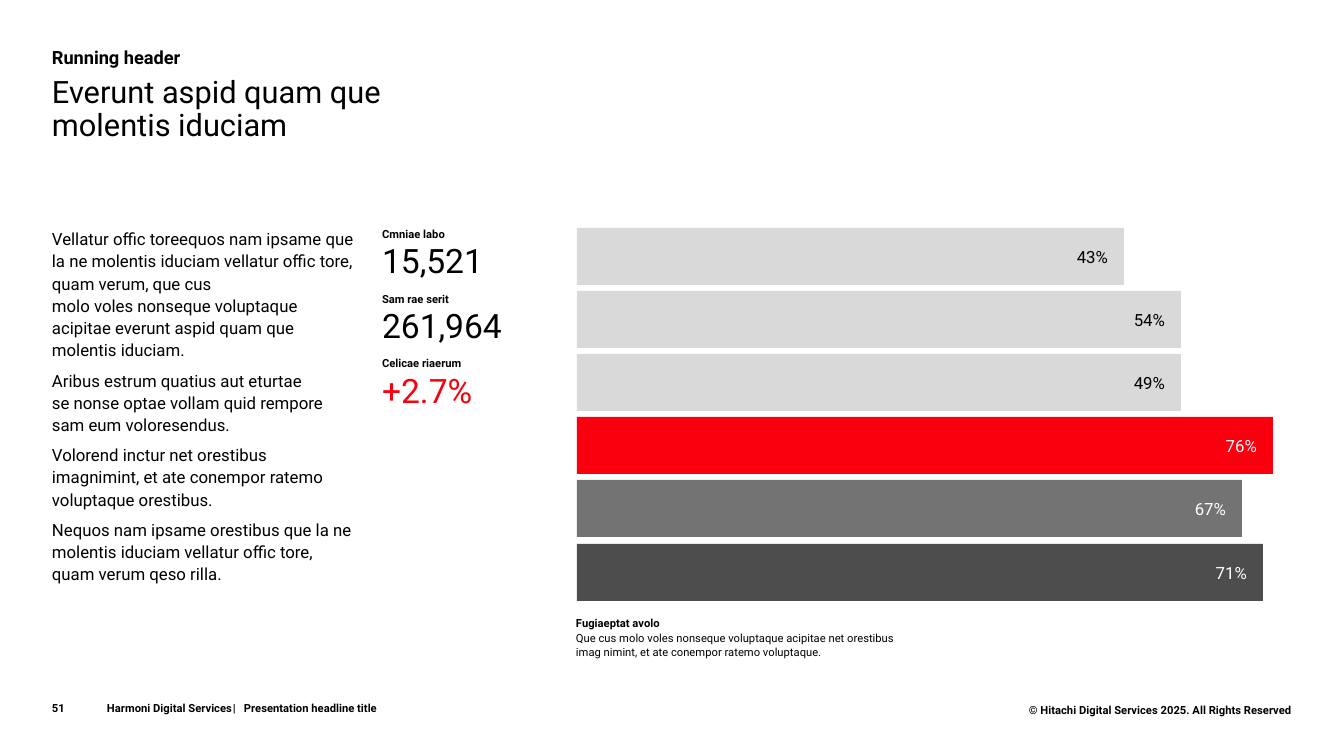
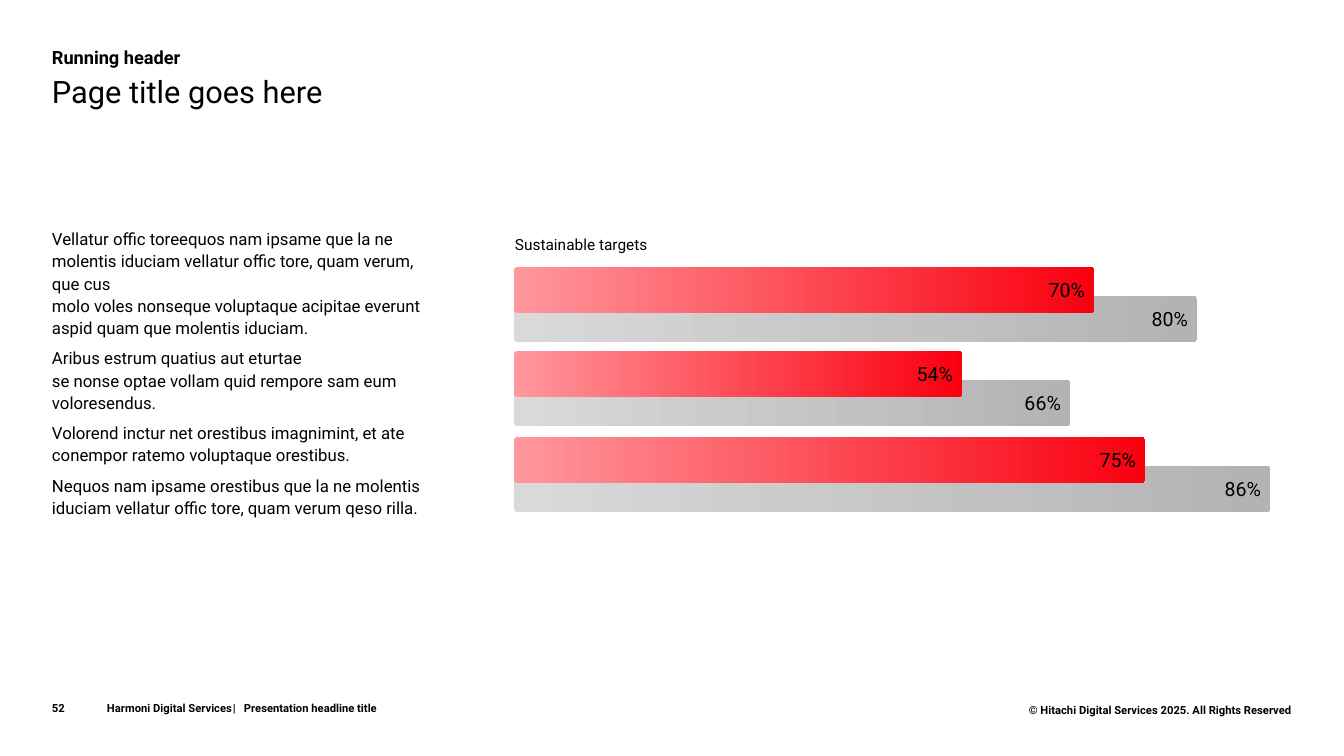
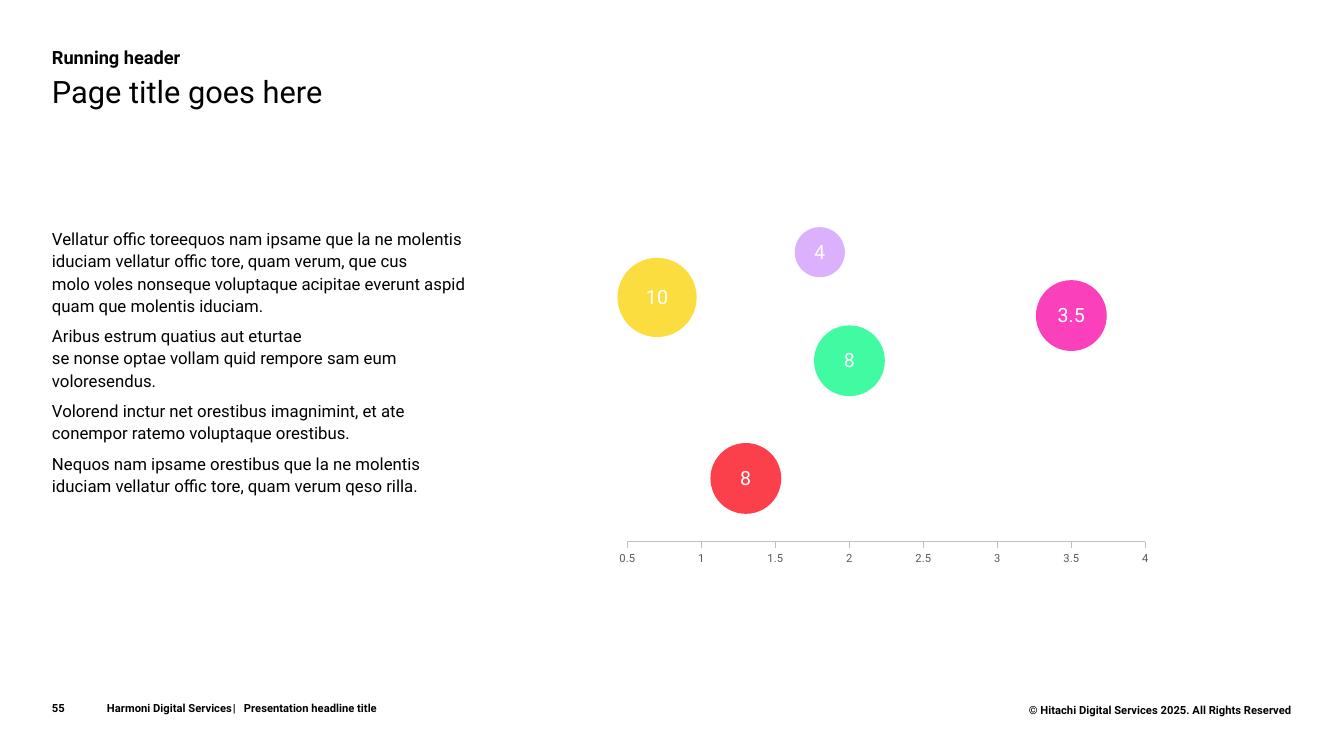
from dataclasses import dataclass
from typing import NamedTuple

from pptx import Presentation
from pptx.chart.data import BubbleChartData
from pptx.dml.color import RGBColor
from pptx.enum.chart import XL_CHART_TYPE as Kind
from pptx.enum.chart import XL_LABEL_POSITION as Spot
from pptx.enum.chart import XL_TICK_MARK as Tick
from pptx.enum.shapes import MSO_SHAPE as Form
from pptx.enum.text import MSO_ANCHOR as Anchor
from pptx.enum.text import PP_ALIGN as Align
from pptx.oxml import parse_xml
from pptx.oxml.ns import nsdecls
from pptx.shapes.autoshape import Shape
from pptx.slide import Slide
from pptx.text.text import Font, TextFrame
from pptx.util import Emu, Pt

FACE = "Roboto"
BLACK = RGBColor(0x00, 0x00, 0x00)
WHITE = RGBColor(0xFF, 0xFF, 0xFF)
RED = RGBColor(0xFA, 0x00, 0x0F)
PINK = RGBColor(0xFF, 0x97, 0x9D)
PALE = RGBColor(0xD9, 0xD9, 0xD9)
SILVER = RGBColor(0xB3, 0xB3, 0xB3)
GREY = RGBColor(0x73, 0x73, 0x73)
DARK = RGBColor(0x4D, 0x4D, 0x4D)
AXIS = RGBColor(0xBF, 0xBF, 0xBF)
TICKS = RGBColor(0x59, 0x59, 0x59)
YELLOW = RGBColor(0xFA, 0xD2, 0x00)
LILAC = RGBColor(0xD0, 0x96, 0xFD)
ROSE = RGBColor(0xFA, 0x00, 0xA5)
GREEN = RGBColor(0x00, 0xFA, 0x82)

LEFT = 52
BODY = [
    "Vellatur offic toreequos nam ipsame que la ne molentis iduciam vellatur offic tore, "
    "quam verum, que cus \nmolo voles nonseque voluptaque acipitae everunt aspid quam que "
    "molentis iduciam.",
    "Aribus estrum quatius aut eturtae \nse nonse optae vollam quid rempore sam eum "
    "voloresendus.",
    "Volorend inctur net orestibus imagnimint, et ate conempor ratemo voluptaque orestibus.",
    "Nequos nam ipsame orestibus que la ne molentis iduciam vellatur offic tore, quam verum "
    "qeso rilla.",
]


class Box(NamedTuple):
    left: int
    top: int
    width: int
    height: int


@dataclass(frozen=True)
class Line:
    text: str
    size: int
    bold: bool = False
    color: RGBColor = BLACK
    gap: int = 0


class Bar(NamedTuple):
    label: str
    width: int
    fill: RGBColor
    ink: RGBColor


class Pair(NamedTuple):
    top: int
    front: str
    near: int
    back: str
    far: int


class Dot(NamedTuple):
    x: float
    y: float
    size: float
    fill: RGBColor
    label: str = ""


STATS = [("Cmniae labo", "15,521", BLACK), ("Sam rae serit", "261,964", BLACK),
         ("Celicae riaerum", "+2.7%", RED)]
BARS = [
    Bar("43%", 547, PALE, BLACK),
    Bar("54%", 604, PALE, BLACK),
    Bar("49%", 604, PALE, BLACK),
    Bar("76%", 696, RED, WHITE),
    Bar("67%", 665, GREY, WHITE),
    Bar("71%", 686, DARK, WHITE),
]
PAIRS = [
    Pair(267, "70%", 580, "80%", 683),
    Pair(351, "54%", 448, "66%", 556),
    Pair(437, "75%", 631, "86%", 756),
]
DOTS = [
    Dot(0.7, 2.7, 10, YELLOW),
    Dot(1.8, 3.2, 4, LILAC),
    Dot(3.5, 2.5, 8, ROSE, "3.5"),
    Dot(2, 2, 8, GREEN),
    Dot(1.3, 0.7, 8, RED),
]


def px(count: int) -> Emu:
    return Emu(round(count * 914400 / 100.8))


def place(box: Box) -> list[Emu]:
    return [px(part) for part in box]


def style(font: Font, size: int, color: RGBColor, bold: bool = False) -> None:
    font.name = FACE
    font.size = Pt(size)
    font.bold = bold
    font.color.rgb = color


def write(frame: TextFrame, lines: list[Line], align: Align = Align.LEFT,
          anchor: Anchor = Anchor.TOP, pitch: float = 1.0, inset: int = 0) -> None:
    frame.word_wrap = True
    frame.vertical_anchor = anchor
    frame.margin_left = frame.margin_top = frame.margin_bottom = 0
    frame.margin_right = px(inset)
    for spot, line in enumerate(lines):
        para = frame.add_paragraph() if spot else frame.paragraphs[0]
        para.text = line.text
        para.alignment = align
        para.line_spacing = pitch
        para.space_before = Pt(line.gap if spot else 0)
        for run in para.runs:
            style(run.font, line.size, line.color, line.bold)


def note(slide: Slide, box: Box, lines: list[Line], align: Align = Align.LEFT,
         anchor: Anchor = Anchor.TOP, pitch: float = 1.0) -> TextFrame:
    frame = slide.shapes.add_textbox(*place(box)).text_frame
    write(frame, lines, align, anchor, pitch)
    return frame


def block(slide: Slide, form: Form, box: Box, line: Line, inset: int) -> Shape:
    shape = slide.shapes.add_shape(form, *place(box))
    shape.shadow.inherit = False
    shape.line.fill.background()
    write(shape.text_frame, [line], Align.RIGHT, Anchor.MIDDLE, inset=inset)
    return shape


def fade(slide: Slide, box: Box, label: str, start: RGBColor, end: RGBColor) -> None:
    shape = block(slide, Form.ROUNDED_RECTANGLE, box, Line(label, 14), 8)
    shape.adjustments[0] = 0.07
    shape.fill.gradient()
    shape.fill.gradient_angle = 0
    for stop, color in zip(shape.fill.gradient_stops, (start, end)):
        stop.color.rgb = color


def page(deck: Presentation, number: int, title: str, width: int) -> Slide:
    slide = deck.slides.add_slide(deck.slide_layouts[6])
    note(slide, Box(LEFT, 44, 506, 23), [Line("Running header", 13, True)], pitch=1.1)
    note(slide, Box(LEFT, 77, 820, 67), [Line(title, 22)], pitch=0.9)
    note(slide, Box(LEFT, 227, width, 452), [Line(text, 12, gap=6) for text in BODY],
         pitch=1.1)
    note(slide, Box(LEFT, 699, 47, 16), [Line(str(number), 8, True)], anchor=Anchor.BOTTOM)
    foot = note(slide, Box(107, 699, 401, 16),
                [Line("Harmoni Digital Services\t|\tPresentation headline title", 8, True)],
                anchor=Anchor.BOTTOM)
    tabs = "".join(f'<a:tab pos="{px(stop)}" algn="l"/>' for stop in (126, 137))
    props = foot.paragraphs[0]._p.get_or_add_pPr()
    props.append(parse_xml(f'<a:tabLst {nsdecls("a")}>{tabs}</a:tabLst>'))
    note(slide, Box(973, 703, 319, 14),
         [Line("© Hitachi Digital Services 2025. All Rights Reserved", 8, True)], Align.RIGHT)
    return slide


def bars(deck: Presentation) -> None:
    slide = page(deck, 51, "Everunt aspid quam que \nmolentis iduciam", 302)
    stats = []
    for name, value, color in STATS:
        stats += [Line(name, 8, True, gap=8), Line(value, 24, color=color)]
    note(slide, Box(382, 227, 183, 452), stats)
    for row, bar in enumerate(BARS):
        box = Box(577, 228 + row * 316 // 5, bar.width, 57)
        shape = block(slide, Form.RECTANGLE, box, Line(bar.label, 12, color=bar.ink), 16)
        shape.fill.solid()
        shape.fill.fore_color.rgb = bar.fill
    note(slide, Box(576, 615, 325, 44), [
        Line("Fugiaeptat avolo", 8, True),
        Line("Que cus molo voles nonseque voluptaque acipitae net orestibus imag nimint, "
             "et ate conempor ratemo voluptaque.", 8),
    ], pitch=1.1)


def pairs(deck: Presentation) -> None:
    slide = page(deck, 52, "Page title goes here", 392)
    note(slide, Box(515, 235, 344, 22), [Line("Sustainable targets", 11)])
    for pair in PAIRS:
        fade(slide, Box(514, pair.top + 29, pair.far, 46), pair.back, PALE, SILVER)
        fade(slide, Box(514, pair.top, pair.near, 46), pair.front, PINK, RED)


def dots(deck: Presentation) -> None:
    slide = page(deck, 55, "Page title goes here", 429)
    data = BubbleChartData()
    group = data.add_series("Series 1")
    for dot in DOTS:
        group.add_data_point(dot.x, dot.y, dot.size)
    box = Box(611, 218, 551, 356)
    chart = slide.shapes.add_chart(Kind.BUBBLE, *place(box), data).chart
    chart.has_legend = False
    chart.has_title = False
    style(chart.font, 10, BLACK)

    plot = chart.plots[0]
    plot.bubble_scale = 100
    across, up = chart.category_axis, chart.value_axis
    for axis, low, high in ((across, 0.5, 4), (up, 0, 3.5)):
        axis.minimum_scale = low
        axis.maximum_scale = high
        axis.major_unit = 0.5
        axis.has_major_gridlines = False
    up.visible = False
    across.major_tick_mark = Tick.OUTSIDE
    across.minor_tick_mark = Tick.NONE
    across.format.line.color.rgb = AXIS
    across.format.line.width = Pt(0.75)
    style(across.tick_labels.font, 8, TICKS)

    series = plot.series[0]
    series.format.fill.solid()
    series.format.fill.fore_color.rgb = RED
    for spot, dot in enumerate(DOTS):
        point = series.points[spot]
        point.format.fill.solid()
        point.format.fill.fore_color.rgb = dot.fill
        point.format.line.fill.background()
        label = point.data_label
        if dot.label:
            para = label.text_frame.paragraphs[0]
            para.text = dot.label
            style(para.runs[0].font, 14, WHITE)
        else:
            style(label.font, 14, WHITE)
        label.position = Spot.CENTER
    for color in series._element.xpath("c:dPt/c:spPr/a:solidFill/a:srgbClr"):
        color.append(parse_xml(f'<a:alpha {nsdecls("a")} val="75000"/>'))

    area = chart._chartSpace.chart.plotArea
    for old in area.xpath("c:layout"):
        area.remove(old)
    frame = {"x": 0.03, "y": 0.02, "w": 0.94, "h": 0.89}
    sizes = "".join(f'<c:{key} val="{part}"/>' for key, part in frame.items())
    area.insert(0, parse_xml(
        f'<c:layout {nsdecls("c")}><c:manualLayout><c:layoutTarget val="inner"/>'
        f'<c:xMode val="edge"/><c:yMode val="edge"/>{sizes}</c:manualLayout></c:layout>'))


def main() -> None:
    deck = Presentation()
    deck.slide_width = px(1344)
    deck.slide_height = px(756)
    bars(deck)
    pairs(deck)
    dots(deck)
    deck.save("out.pptx")


if __name__ == "__main__":
    main()
